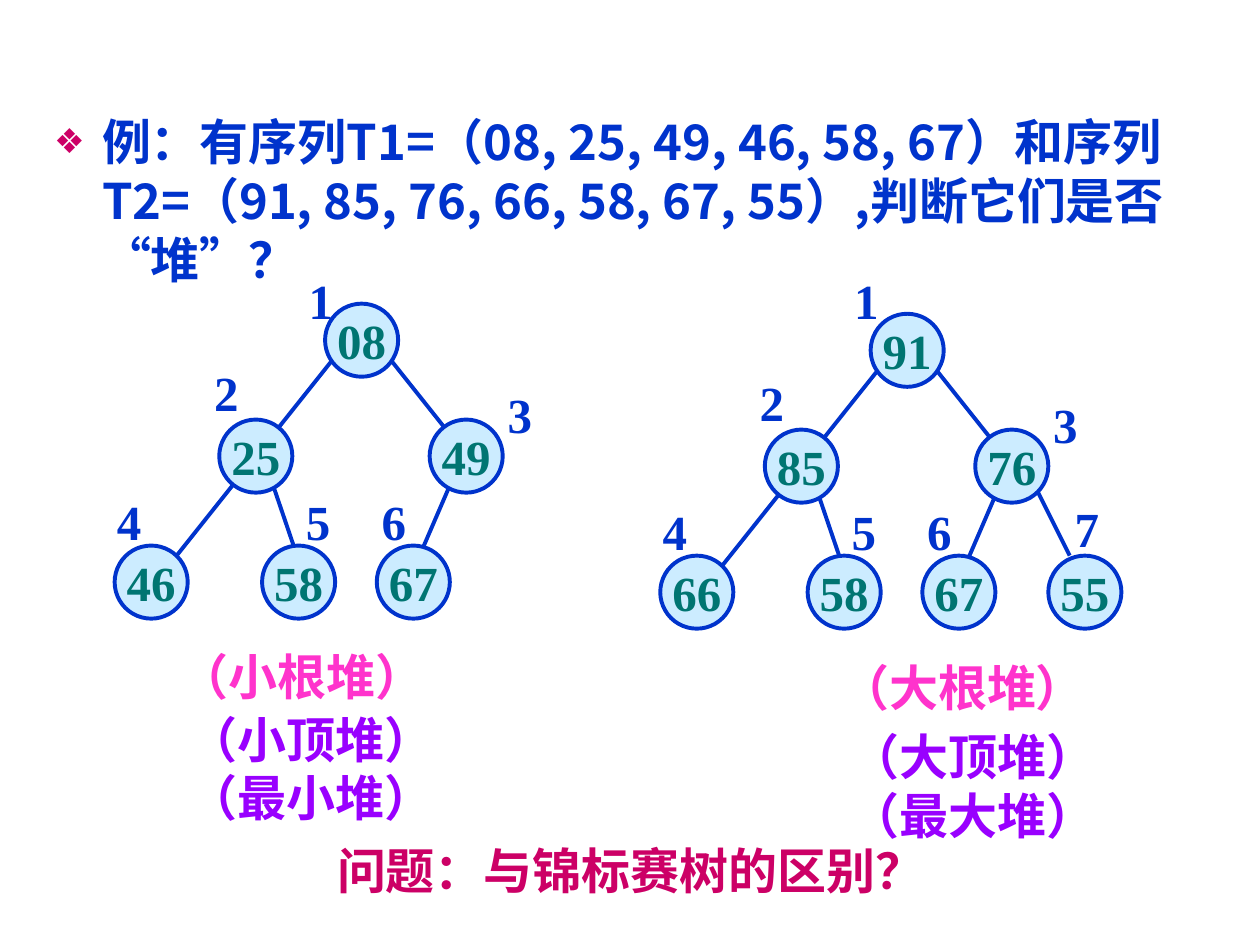
from dataclasses import dataclass

from lxml.etree import SubElement
from pptx import Presentation
from pptx.dml.color import RGBColor
from pptx.enum.shapes import MSO_CONNECTOR, MSO_SHAPE
from pptx.enum.text import MSO_ANCHOR, MSO_AUTO_SIZE, PP_ALIGN
from pptx.oxml.ns import qn
from pptx.util import Inches, Pt


@dataclass(frozen=True)
class Theme:
    blue: str = "0033CC"
    node_fill: str = "CCECFF"
    node_text: str = "007572"
    pink: str = "FF33CC"
    purple: str = "9900FF"
    crimson: str = "CC0066"
    number_font: str = "Times New Roman"
    chinese_font: str = "Noto Sans CJK SC"
    question_font: str = "Arial"
    size: float = 28
    line_pitch: float = 33.5
    line_width: float = 2.25


theme = Theme()


def format_text(text_frame, text, font_name, color, align=PP_ALIGN.LEFT):
    text_frame.text = text
    for paragraph in text_frame.paragraphs:
        paragraph.alignment = align
        if font_name == theme.chinese_font:
            paragraph.line_spacing = Pt(theme.line_pitch)
        for run in paragraph.runs:
            run.font.name = font_name
            run.font.size = Pt(theme.size)
            run.font.bold = True
            run.font.color.rgb = RGBColor.from_string(color)
            if font_name != theme.number_font:
                east_asian = SubElement(run.font._element, qn("a:ea"))
                east_asian.set("typeface", theme.chinese_font)


def add_text(shapes, box, text, font_name, color, wrap=False):
    shape = shapes.add_textbox(*[Inches(value) for value in box])
    format_text(shape.text_frame, text, font_name, color)
    shape.text_frame.word_wrap = wrap
    shape.text_frame.auto_size = MSO_AUTO_SIZE.SHAPE_TO_FIT_TEXT
    return shape


presentation = Presentation()
presentation.slide_width = Inches(10)
presentation.slide_height = Inches(7.5)
slide = presentation.slides.add_slide(presentation.slide_layouts[1])
title = slide.shapes.title
title._element.getparent().remove(title._element)

# Example sequences
body = slide.placeholders[1]
body.left, body.top = Inches(0.33), Inches(0.84)
body.width, body.height = Inches(9.34), Inches(5.58)
format_text(
    body.text_frame,
    "例：有序列T1=（08, 25, 49, 46, 58, 67）和序列T2=（91, 85, 76, 66, 58, 67, 55）,判断它们是否 “堆”？",
    theme.chinese_font,
    theme.blue,
)
body.text_frame.auto_size = MSO_AUTO_SIZE.NONE
paragraph = body.text_frame.paragraphs[0]
paragraph.space_before = Pt(7)
properties = paragraph._p.get_or_add_pPr()
properties.set("marL", str(Inches(0.38)))
properties.set("indent", str(-Inches(0.38)))
bullet_color = SubElement(properties, qn("a:buClr"))
SubElement(bullet_color, qn("a:srgbClr")).set("val", theme.crimson)
SubElement(properties, qn("a:buSzPct")).set("val", "70000")
SubElement(properties, qn("a:buChar")).set("char", "❖")

# Heap layout in level order; the second heap is the first one shifted
node_size = 0.58
nodes = [(2.58, 2.41), (1.74, 3.33), (3.41, 3.33),
         (0.91, 4.33), (2.08, 4.33), (2.99, 4.33), (3.99, 4.33)]
index_labels = [(2.35, 2.1), (1.6, 2.83), (3.93, 3), (0.83, 3.85),
                (2.33, 3.85), (2.93, 3.85), (4.1, 3.83)]
# The first edge runs from the root behind node 2 to node 4
edges = [(2.66, 2.83, 1.33, 4.5), (3.08, 2.83, 3.74, 3.66),
         (2.16, 3.83, 2.33, 4.33), (3.58, 3.83, 3.33, 4.41),
         (3.91, 3.83, 4.16, 4.33)]
heaps = [
    (0, 0, ["08", "25", "49", "46", "58", "67"]),
    (4.33, 0.08, ["91", "85", "76", "66", "58", "67", "55"]),
]

for shift_x, shift_y, values in heaps:
    shapes = slide.shapes.add_group_shape().shapes

    # Edges
    for x1, y1, x2, y2 in edges[:len(values) - 2]:
        edge = shapes.add_connector(
            MSO_CONNECTOR.STRAIGHT,
            Inches(x1 + shift_x), Inches(y1 + shift_y),
            Inches(x2 + shift_x), Inches(y2 + shift_y),
        )
        edge.line.color.rgb = RGBColor.from_string(theme.blue)
        edge.line.width = Pt(theme.line_width)
        SubElement(edge._element.spPr, qn("a:effectLst"))

    # Nodes
    for value, (left, top) in zip(values, nodes):
        node = shapes.add_shape(
            MSO_SHAPE.OVAL, Inches(left + shift_x), Inches(top + shift_y),
            Inches(node_size), Inches(node_size),
        )
        node.shadow.inherit = False
        node.fill.solid()
        node.fill.fore_color.rgb = RGBColor.from_string(theme.node_fill)
        node.line.color.rgb = RGBColor.from_string(theme.blue)
        node.line.width = Pt(theme.line_width)
        format_text(node.text_frame, value, theme.number_font,
                    theme.node_text, PP_ALIGN.CENTER)
        node.text_frame.word_wrap = False
        node.text_frame.vertical_anchor = MSO_ANCHOR.MIDDLE

    # Position numbers; both root numbers share one height
    for number, (left, top) in enumerate(index_labels[:len(values)], start=1):
        label_top = top if number == 1 else top + shift_y
        add_text(shapes, (left + shift_x, label_top, 0.39, 0.57),
                 str(number), theme.number_font, theme.blue)

# Heap names
heap_names = [
    ((1.33, 5.08, 2.41, 0.57), "（小根堆）", theme.pink, True),
    ((1.4, 5.58, 2.23, 1.04), "（小顶堆）\n（最小堆）", theme.purple, False),
    ((6.57, 5.17, 2.28, 0.57), "（大根堆）", theme.pink, True),
    ((6.65, 5.72, 2.28, 1.04), "（大顶堆）\n（最大堆）", theme.purple, True),
]
for box, text, color, wrap in heap_names:
    add_text(slide.shapes, box, text, theme.chinese_font, color, wrap)

# Closing question
question = add_text(slide.shapes, (2.64, 6.59, 4.73, 0.63),
                    "问题：与锦标赛树的区别？", theme.question_font, theme.crimson)
question.text_frame.auto_size = MSO_AUTO_SIZE.NONE
question.text_frame.vertical_anchor = MSO_ANCHOR.MIDDLE
question.text_frame.paragraphs[0].alignment = PP_ALIGN.CENTER

presentation.save("out.pptx")
